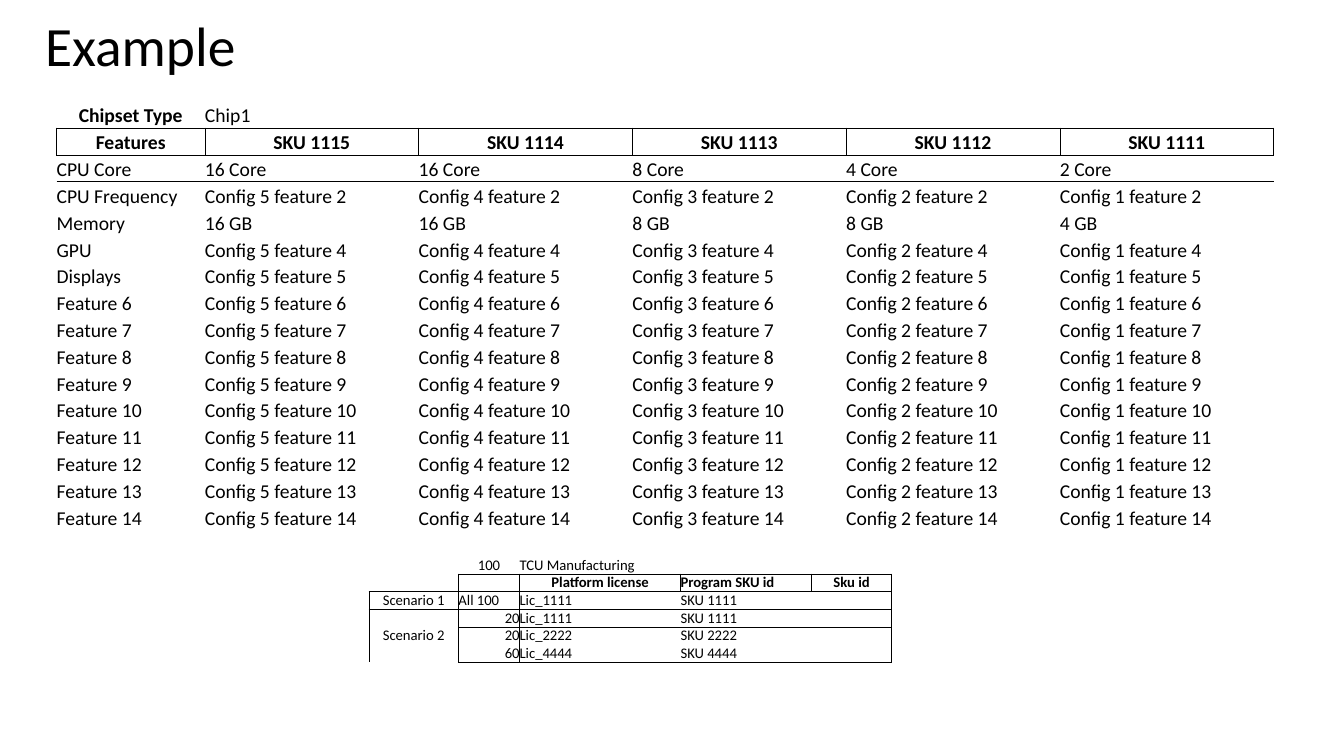
from lxml import etree
from pptx import Presentation
from pptx import util as u
from pptx.dml import color
from pptx.enum import text
from pptx.oxml import ns

COLORS = {"ink": "000000"}
FONT = "Calibri"
ALIGN = text.PP_ALIGN
NO_STYLE = "{2D5ABB26-0587-4C30-8999-92F81FD0307C}"


def write(paragraph, words, size, bold=False):
    run = paragraph.add_run()
    run.text = words
    run.font.size = u.Pt(size)
    run.font.name = FONT
    run.font.bold = bold
    run.font.color.rgb = color.RGBColor.from_string(COLORS["ink"])


def draw_table(left, top, widths, row_height, rows, size, boxes, bold, aligned, merged=()):
    frame = slide.shapes.add_table(len(rows), len(widths), u.Pt(left), u.Pt(top),
                                   u.Pt(sum(widths)), u.Pt(row_height * len(rows)))
    table = frame.table
    table.first_row = table.horz_banding = False
    table._tbl.tblPr.find(ns.qn("a:tableStyleId")).text = NO_STYLE
    for column, width in zip(table.columns, widths):
        column.width = u.Pt(width)

    edges = set()
    for top_row, first, bottom_row, last in boxes:
        for r in range(top_row, bottom_row + 1):
            edges |= {(r, first, "L"), (r, first - 1, "R"), (r, last, "R"), (r, last + 1, "L")}
        for c in range(first, last + 1):
            edges |= {(top_row, c, "T"), (top_row - 1, c, "B"),
                      (bottom_row, c, "B"), (bottom_row + 1, c, "T")}

    for r, row in enumerate(rows):
        table.rows[r].height = u.Pt(row_height)
        for c, words in enumerate(row):
            cell = table.cell(r, c)
            cell.margin_left = cell.margin_right = cell.margin_top = cell.margin_bottom = 0
            cell.vertical_anchor = text.MSO_ANCHOR.BOTTOM
            properties = cell._tc.get_or_add_tcPr()
            for side in "LRTB":
                if (r, c, side) in edges:
                    line = etree.SubElement(properties, ns.qn("a:ln" + side), w=str(u.Pt(0.5)))
                    fill = etree.SubElement(line, ns.qn("a:solidFill"))
                    etree.SubElement(fill, ns.qn("a:srgbClr"), val=COLORS["ink"])
            cell.fill.background()
            paragraph = cell.text_frame.paragraphs[0]
            paragraph.alignment = aligned.get((r, c), ALIGN.LEFT)
            if words:
                write(paragraph, words, size, (r, c) in bold)
            else:
                etree.SubElement(paragraph._p, ns.qn("a:endParaRPr"), sz=str(int(size * 100)))
    for first_row, last_row, c in merged:
        table.cell(first_row, c).merge(table.cell(last_row, c))
        table.cell(first_row, c).vertical_anchor = text.MSO_ANCHOR.MIDDLE


deck = Presentation()
deck.slide_width, deck.slide_height = u.Pt(960), u.Pt(540)
slide = deck.slides.add_slide(deck.slide_layouts[6])

heading = slide.shapes.add_textbox(u.Pt(25.2), u.Pt(15.8), u.Pt(828), u.Pt(38.2)).text_frame
heading.word_wrap = True
heading.vertical_anchor = text.MSO_ANCHOR.MIDDLE
heading.paragraphs[0].line_spacing = 0.9
write(heading.paragraphs[0], "Example", 39.6)

scenarios = [
    ["", "100", "TCU Manufacturing", "", ""],
    ["", "", "Platform license", "Program SKU id", "Sku id"],
    ["Scenario 1", "All 100", "Lic_1111", "SKU 1111", ""],
    ["Scenario 2", "20", "Lic_1111", "SKU 1111", ""],
    ["", "20", "Lic_2222", "SKU 2222", ""],
    ["", "60", "Lic_4444", "SKU 4444", ""],
]
scenario_boxes = [(1, c, 1, c) for c in range(1, 5)]
scenario_boxes += [(2, 0, 2, 0), (3, 0, 5, 0), (2, 1, 2, 4), (3, 1, 5, 4)]
scenario_align = dict.fromkeys([(0, 1), (1, 2), (1, 4), (2, 0), (3, 0)], ALIGN.CENTER)
scenario_align.update(dict.fromkeys([(3, 1), (4, 1), (5, 1)], ALIGN.RIGHT))
draw_table(263.5, 397.4, [64, 43.7, 115, 93.6, 57.2], 12.6, scenarios, 10.5, scenario_boxes,
           {(1, 2), (1, 3), (1, 4)}, scenario_align, [(3, 5, 0)])

configs = range(5, 0, -1)
known = {
    1: ["16 Core", "16 Core", "8 Core", "4 Core", "2 Core"],
    3: ["16 GB", "16 GB", "8 GB", "8 GB", "4 GB"],
}
labels = ["CPU Core", "CPU Frequency", "Memory", "GPU", "Displays"]
labels += [f"Feature {n}" for n in range(6, 15)]
features = [["Chipset Type", "Chip1", "", "", "", ""],
            ["Features"] + [f"SKU 111{n}" for n in configs]]
for n, label in enumerate(labels, 1):
    features.append([label] + known.get(n, [f"Config {k} feature {n}" for k in configs]))
header = [(1, c) for c in range(6)]
draw_table(40.4, 72.3, [106] + [152.7] * 5, 19.17, features, 14,
           [(r, c, r, c) for r, c in header], {(0, 0), *header},
           dict.fromkeys([(0, 0), *header], ALIGN.CENTER))

deck.save("out.pptx")
